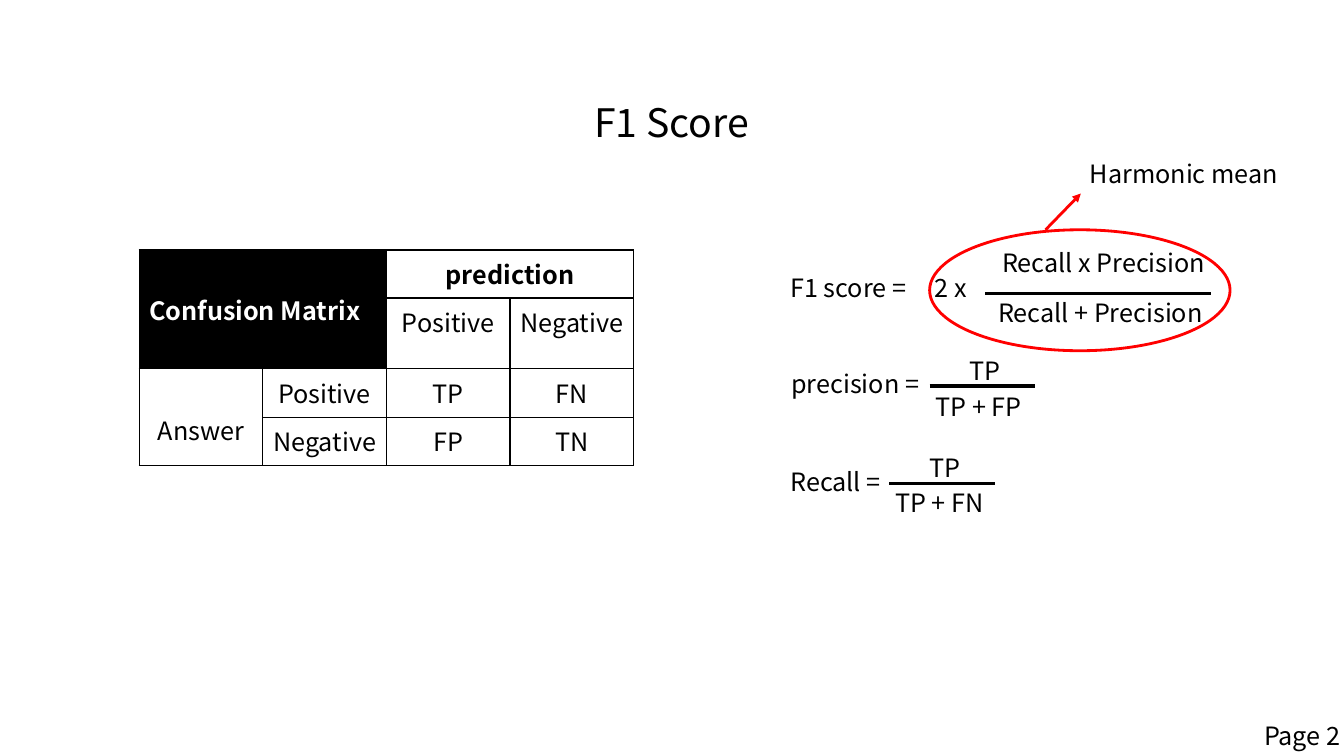
import pptx
import pptx.dml.color
import pptx.enum.dml
import pptx.enum.shapes
import pptx.enum.text
import pptx.oxml
import pptx.oxml.ns
import pptx.util
from lxml import etree

RGB = pptx.dml.color.RGBColor.from_string
Pt = pptx.util.Pt
ALIGN = pptx.enum.text.PP_ALIGN
ANCHOR = pptx.enum.text.MSO_ANCHOR
STRAIGHT = pptx.enum.shapes.MSO_CONNECTOR.STRAIGHT
qn = pptx.oxml.ns.qn

THEME = dict(font="Noto Sans CJK KR", ink="000000", paper="FFFFFF", accent="FF0000",
             title=28, body=18, bar=2.25, mark=2, border=1)

# Content; places are in units of a grid of 40 columns, each a third of an inch
COLUMNS, ROWS = 40, 22.5
LINE_H = 1.2

TITLE = ("F1 Score", 13.68, 2.76, 12.6, 1.71)

TABLE_AT = (4.14, 7.44)
TABLE_COL = 3.68
TABLE_ROWS = [1.43, 2.11, 1.44, 1.44]
MATRIX = [
    ["Confusion Matrix", None, "prediction", None],
    [None, None, "Positive", "Negative"],
    ["Answer", "Positive", "TP", "FN"],
    [None, "Negative", "FP", "TN"],
]
MERGES = [((0, 0), (1, 1)), ((0, 2), (0, 3)), ((2, 0), (3, 0))]

# text, left, top, width, alignment
LABELS = [
    ("F1 score =", 23.22, 7.95, 4.74, ALIGN.LEFT),
    ("2 x", 27.51, 7.95, 1.8, ALIGN.LEFT),
    ("precision =", 23.25, 10.83, 4.74, ALIGN.LEFT),
    ("Recall =", 23.22, 13.74, 3.57, ALIGN.LEFT),
    ("Harmonic mean", 32.13, 4.56, 6.54, ALIGN.LEFT),
    ("Page 2", 37.11, 21.3, 3.27, ALIGN.CENTER),
]
# bar (left, top, width), then each text with its shift from the bar's left end
FRACTIONS = [
    ((29.31, 8.73, 6.72), [("Recall x Precision", 0.21, -1.53), ("Recall + Precision", 0.09, -0.03)]),
    ((27.66, 11.49, 3.15), [("TP", 0.9, -1.05), ("TP + FP", -0.12, 0)]),
    ((26.46, 14.4, 3.15), [("TP", 0.9, -1.08), ("TP + FN", -0.12, -0.03)]),
]
ELLIPSE = (27.66, 6.84, 8.94, 3.6)
ARROW = (31.11, 6.84, 32.16, 5.76)

prs = pptx.Presentation()
prs.slide_width = pptx.util.Inches(13.33)
prs.slide_height = pptx.util.Inches(7.5)
UNIT = prs.slide_height / ROWS


def grid(*lengths):
    return [round(n * UNIT) for n in lengths]


def write(tf, text, size=THEME["body"], color=THEME["ink"], bold=False, align=ALIGN.LEFT):
    tf.word_wrap = True
    p = tf.paragraphs[0]
    p.alignment = align
    r = p.add_run()
    r.text = text
    r.font.name, r.font.size, r.font.bold = THEME["font"], Pt(size), bold
    r.font.color.rgb = RGB(color)


def add_label(shapes, text, x, y, w, **style):
    write(shapes.add_textbox(*grid(x, y, w, LINE_H)).text_frame, text, **style)


def add_line(shapes, ends, color, width):
    line = shapes.add_connector(STRAIGHT, *grid(*ends))
    line.line.color.rgb = RGB(color)
    line.line.width = Pt(width)
    etree.SubElement(line._element.spPr, qn("a:effectLst"))
    return line


def style_cell(cell, fill):
    cell.fill.solid()
    cell.fill.fore_color.rgb = RGB(fill)
    tcPr = cell._tc.get_or_add_tcPr()
    for i, side in enumerate(("lnL", "lnR", "lnT", "lnB")):
        ln = etree.Element(qn("a:" + side), w=str(Pt(THEME["border"])))
        solid = etree.SubElement(ln, qn("a:solidFill"))
        etree.SubElement(solid, qn("a:srgbClr"), val=THEME["ink"])
        tcPr.insert(i, ln)


def add_matrix(shapes):
    size = (TABLE_COL * len(MATRIX[0]), sum(TABLE_ROWS))
    table = shapes.add_table(len(MATRIX), len(MATRIX[0]), *grid(*TABLE_AT, *size)).table
    for col in table.columns:
        col.width = grid(TABLE_COL)[0]
    for row, height in zip(table.rows, TABLE_ROWS):
        row.height = grid(height)[0]
    for first, last in MERGES:
        table.cell(*first).merge(table.cell(*last))
    for i, texts in enumerate(MATRIX):
        for j, text in enumerate(texts):
            cell = table.cell(i, j)
            corner = i < 2 and j < 2
            style_cell(cell, THEME["ink" if corner else "paper"])
            if text:
                write(cell.text_frame, text, bold=i == 0,
                      color=THEME["paper" if corner else "ink"],
                      align=ALIGN.LEFT if corner else ALIGN.CENTER)
    table.cell(0, 0).vertical_anchor = ANCHOR.MIDDLE
    answer = table.cell(2, 0)
    answer.vertical_anchor = ANCHOR.MIDDLE
    answer.margin_top = pptx.util.Inches(0.29)


slide = prs.slides.add_slide(prs.slide_layouts[5])
shapes = slide.shapes

# Title
text, *box = TITLE
title = shapes.title
title.left, title.top, title.width, title.height = grid(*box)
title.text_frame.auto_size = pptx.enum.text.MSO_AUTO_SIZE.NONE
write(title.text_frame, text, size=THEME["title"], align=ALIGN.CENTER)

# Ellipse behind the harmonic mean
sp = shapes.add_shape(pptx.enum.shapes.MSO_SHAPE.OVAL, *grid(*ELLIPSE))
sp.shadow.inherit = False
sp.fill.solid()
sp.fill.fore_color.rgb = RGB(THEME["paper"])
sp.line.color.rgb = RGB(THEME["accent"])
sp.line.width = Pt(THEME["mark"])

# Confusion matrix
add_matrix(shapes)

# Formulas
for (x, y, w), parts in FRACTIONS:
    group = shapes.add_group_shape().shapes
    add_line(group, (x, y, x + w, y), THEME["ink"], THEME["bar"])
    for text, dx, dy in parts:
        add_label(group, text, x + dx, y + dy, w + 0.42)
for text, x, y, w, align in LABELS:
    add_label(shapes, text, x, y, w, align=align)

# Arrow to the note
arrow = add_line(shapes, ARROW, THEME["accent"], THEME["mark"])
etree.SubElement(arrow.line._get_or_add_ln(), qn("a:tailEnd"), type="triangle")

prs.save("out.pptx")
